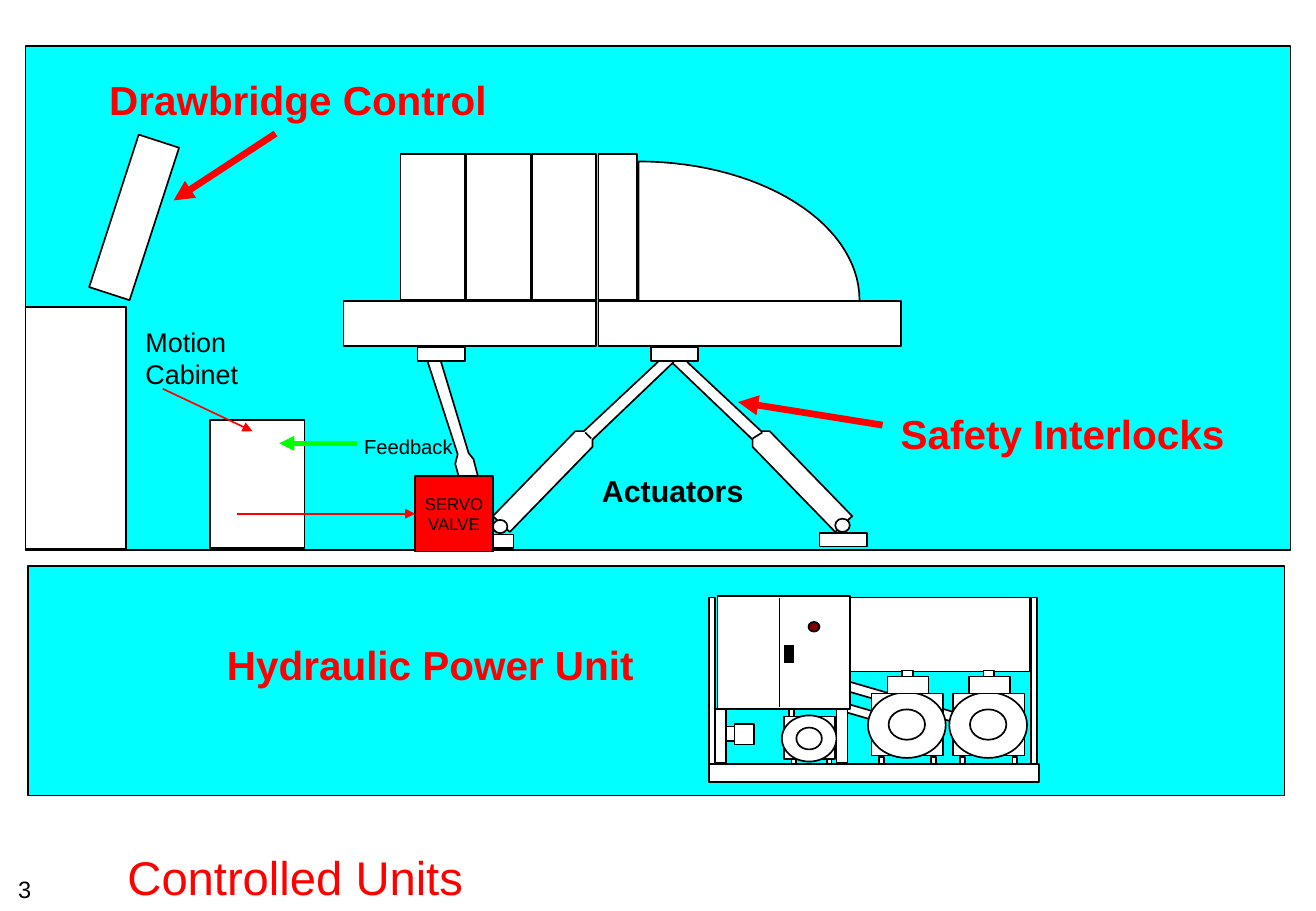
"""Build the Controlled Units slide: a motion simulator and its hydraulic power unit."""
import math

import pptx
import pptx.util
from lxml import etree
from pptx.dml.color import RGBColor
from pptx.enum.shapes import MSO_CONNECTOR, MSO_SHAPE
from pptx.enum.text import MSO_ANCHOR, MSO_AUTO_SIZE, PP_ALIGN
from pptx.oxml.ns import qn
from pptx.util import Inches

COLORS = {
    "room": "00FFFF",
    "white": "FFFFFF",
    "black": "000000",
    "red": "FF0000",
    "green": "00FF00",
    "lamp": "800000",
}
RECT = MSO_SHAPE.RECTANGLE
OVAL = MSO_SHAPE.OVAL

deck = pptx.Presentation()
deck.slide_width = Inches(10.84)
deck.slide_height = Inches(7.5)
page = deck.slides.add_slide(deck.slide_layouts[5])


def add_part(kind, left, top, width, height, fill="white", rotation=0):
    """Add an outlined preset shape."""
    part = page.shapes.add_shape(kind, Inches(left), Inches(top), Inches(width), Inches(height))
    part.rotation = rotation
    part.shadow.inherit = False
    part.fill.solid()
    part.fill.fore_color.rgb = RGBColor.from_string(COLORS[fill])
    part.line.color.rgb = RGBColor.from_string(COLORS["black"])
    part.line.width = pptx.util.Pt(1)
    return part


def add_line(start, end, color="black", width=1, arrow=False):
    """Add a straight line, with an arrowhead at its end if asked."""
    line = page.shapes.add_connector(
        MSO_CONNECTOR.STRAIGHT, *[Inches(value) for value in (*start, *end)])
    line.line.color.rgb = RGBColor.from_string(COLORS[color])
    line.line.width = pptx.util.Pt(width)
    if arrow:
        outline = line.line._get_or_add_ln()
        etree.SubElement(outline, qn("a:tailEnd"), type="triangle")
    etree.SubElement(line._element.spPr, qn("a:effectLst"))
    return line


title = page.shapes.title
title.left, title.top = Inches(0.95), Inches(6.99)
title.width, title.height = Inches(9.88), Inches(0.51)
title.text_frame.text = "Controlled Units"
title.text_frame.vertical_anchor = MSO_ANCHOR.BOTTOM
title_para = title.text_frame.paragraphs[0]
title_para.alignment = PP_ALIGN.LEFT
title_para.font.size = pptx.util.Pt(28)
title_para.font.name = "Arial"
title_para.font.color.rgb = RGBColor.from_string(COLORS["red"])

add_part(RECT, 0.23, 4.66, 10.35, 1.89, "room")
add_part(RECT, 0.21, 0.38, 10.42, 4.15, "room")

for left, width in ((2.83, 2.08), (4.93, 2.49)):
    add_part(RECT, left, 2.48, width, 0.37)
for left, width in ((4.38, 0.53), (3.84, 0.53), (3.3, 0.53), (4.93, 0.32)):
    add_part(RECT, left, 1.27, width, 1.2)

dome = [(5.26, 2.47)]
for degrees in range(90, -1, -3):
    angle = math.radians(degrees)
    dome.append((5.26 + 1.82 * math.cos(angle), 2.47 - 1.14 * math.sin(angle)))
right_leg = [(5.66, 2.98), (6.27, 3.55), (6.34, 3.55), (7.02, 4.25),
             (6.88, 4.38), (6.2, 3.68), (6.2, 3.62), (5.53, 2.98)]
left_leg = [(11.08 - x, y) for x, y in right_leg]
rear_leg = [(3.52, 2.97), (3.77, 3.74), (3.75, 3.82), (3.89, 4.33),
            (4.04, 4.32), (3.9, 3.78), (3.86, 3.73), (3.63, 2.97)]
for points in (dome, right_leg, rear_leg, left_leg):
    builder = page.shapes.build_freeform(Inches(points[0][0]), Inches(points[0][1]))
    builder.add_line_segments([(Inches(x), Inches(y)) for x, y in points[1:]], close=False)
    outline = builder.convert_to_shape()
    outline.shadow.inherit = False
    outline.fill.solid()
    outline.fill.fore_color.rgb = RGBColor.from_string(COLORS["white"])
    outline.line.color.rgb = RGBColor.from_string(COLORS["black"])
    outline.line.width = pptx.util.Pt(1)
add_line((6.28, 3.56), (6.2, 3.61))
add_line((4.82, 3.56), (4.87, 3.61))

for left in (5.36, 3.44):
    add_part(RECT, left, 2.86, 0.39, 0.11)
for foot_left, pin_left, top in ((6.75, 6.88, 4.39), (3.84, 4.06, 4.4)):
    add_part(RECT, foot_left, top, 0.39, 0.11)
    add_part(OVAL, pin_left, top - 0.12, 0.12, 0.11)

add_part(RECT, 0.21, 2.53, 0.83, 1.99)
add_part(RECT, 0.93, 1.13, 0.35, 1.32, rotation=18)
add_part(RECT, 1.73, 3.46, 0.78, 1.05)

small_motor = [
    (RECT, 6.5, 5.59, 0.04, 0.31),
    (RECT, 6.52, 6.24, 0.04, 0.11),
    (RECT, 6.81, 6.24, 0.04, 0.11),
    (RECT, 6.46, 5.9, 0.42, 0.35),
    (OVAL, 6.44, 5.89, 0.45, 0.38),
    (OVAL, 6.56, 5.99, 0.21, 0.18),
]
tank_and_frame = [
    (RECT, 5.91, 4.92, 2.57, 0.61),
    (RECT, 5.84, 4.92, 0.05, 1.41),
    (RECT, 8.49, 4.92, 0.05, 1.41),
    (RECT, 5.84, 6.29, 2.72, 0.15),
]
pipes = [
    (RECT, 7.53, 5.21, 0.08, 1.22, "white", 286.2),
    (RECT, 7.15, 5.58, 0.07, 0.62, "white", 286.2),
]
for part in small_motor + tank_and_frame + pipes:
    add_part(*part)

pump = [
    (RECT, 0.28, 0, 0.09, 0.08),
    (RECT, 0.52, 0.71, 0.04, 0.06),
    (RECT, 0.09, 0.71, 0.04, 0.06),
    (RECT, 0.03, 0.19, 0.59, 0.51),
    (OVAL, 0, 0.18, 0.64, 0.54),
    (OVAL, 0.17, 0.32, 0.3, 0.25),
    (RECT, 0.16, 0.05, 0.34, 0.14),
]
for pump_left in (7.15, 7.82):
    for kind, left, top, width, height in pump:
        add_part(kind, pump_left + left, 5.52 + top, width, height)

control_cabinet = [
    (RECT, 5.91, 4.91, 1.09, 0.93),
    (RECT, 6.89, 5.84, 0.09, 0.44),
    (RECT, 5.89, 5.84, 0.09, 0.44),
    (OVAL, 6.66, 5.12, 0.09, 0.08, "lamp"),
    (RECT, 5.98, 5.98, 0.09, 0.12),
    (RECT, 6.05, 5.96, 0.16, 0.17),
]
for part in control_cabinet:
    add_part(*part)
add_line((6.42, 4.92), (6.42, 5.82))
add_line((6.5, 5.31), (6.5, 5.46), width=6)

servo = add_part(RECT, 3.42, 3.92, 0.64, 0.62, "red")
servo.text_frame.text = "SERVO\nVALVE"
servo.text_frame.word_wrap = False
servo.text_frame.vertical_anchor = MSO_ANCHOR.MIDDLE
for para in servo.text_frame.paragraphs:
    para.alignment = PP_ALIGN.CENTER
    para.font.size = pptx.util.Pt(10)
    para.font.name = "Arial"
    para.font.color.rgb = RGBColor.from_string(COLORS["black"])

add_line((2.27, 1.1), (1.43, 1.65), "red", 4, arrow=True)
add_line((7.27, 3.5), (6.08, 3.31), "red", 4, arrow=True)
add_line((1.34, 3.2), (2.08, 3.55), "red", arrow=True)
add_line((2.94, 3.65), (2.3, 3.65), "green", 3, arrow=True)
servo_signal = add_line((1.95, 4.23), (3.42, 4.23), "red", arrow=True)
servo_signal.end_connect(servo, 1)

labels = [
    ("Drawbridge Control", 0.8, 0.57, 3.31, 0.5, 24, "red", True),
    ("Hydraulic Power Unit", 1.77, 5.22, 3.55, 0.5, 24, "red", True),
    ("Safety Interlocks", 7.32, 3.32, 2.87, 0.5, 24, "red", True),
    ("Motion\nCabinet", 1.1, 2.63, 1.05, 0.63, 16, "black", False),
    ("Feedback", 2.9, 3.53, 0.95, 0.3, 12, "black", False),
    ("Actuators", 4.86, 3.84, 1.4, 0.4, 18, "black", True),
    ("3", 0.05, 7.15, 0.31, 0.34, 14, "black", False),
]
for text, left, top, width, height, size, color, bold in labels:
    box = page.shapes.add_textbox(Inches(left), Inches(top), Inches(width), Inches(height))
    box.text_frame.text = text
    box.text_frame.word_wrap = False
    box.text_frame.auto_size = MSO_AUTO_SIZE.SHAPE_TO_FIT_TEXT
    for para in box.text_frame.paragraphs:
        para.font.size = pptx.util.Pt(size)
        para.font.name = "Arial"
        para.font.bold = bold
        para.font.color.rgb = RGBColor.from_string(COLORS[color])

deck.save("out.pptx")
